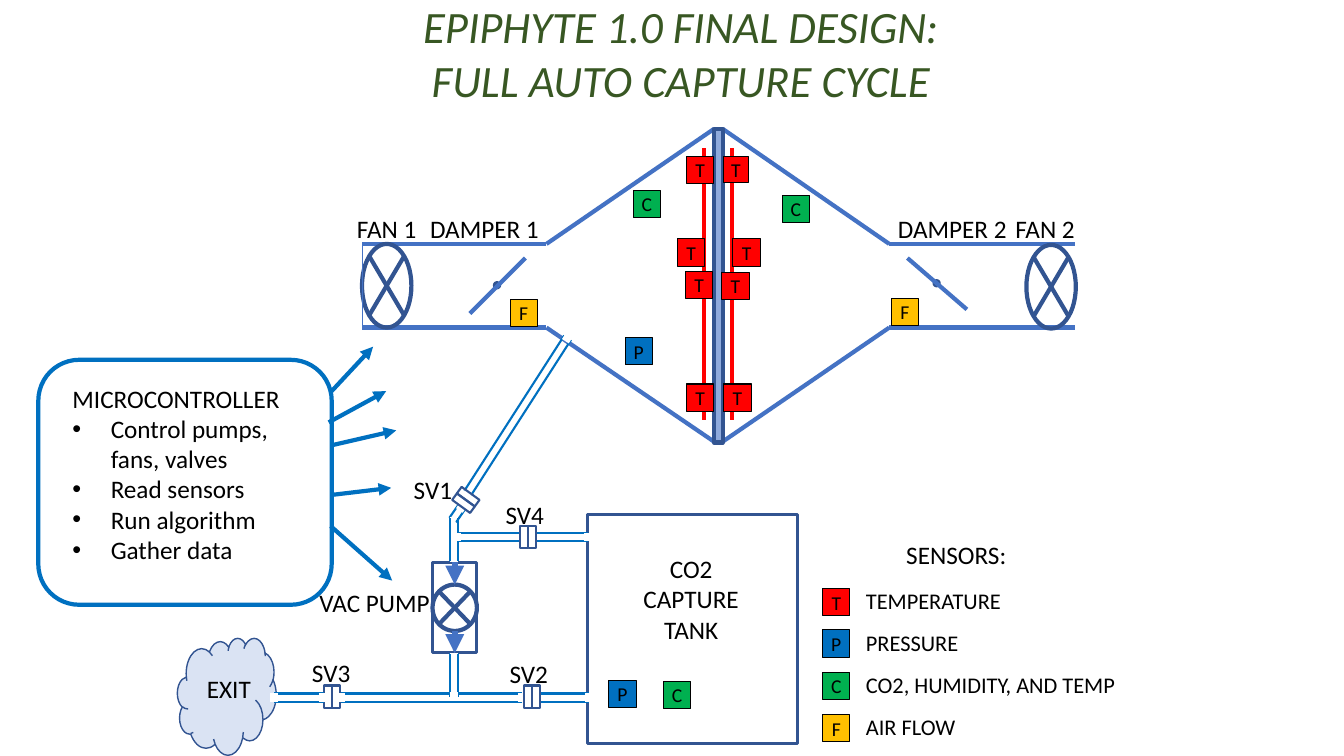
import math
from dataclasses import dataclass
from itertools import pairwise

import pptx
import pptx.dml.color
import pptx.enum.shapes
import pptx.enum.text
import pptx.oxml
import pptx.oxml.ns
import pptx.util

EMU_PER_PX = 9144
SHAPES = pptx.enum.shapes.MSO_SHAPE
ALIGN = pptx.enum.text.PP_ALIGN


@dataclass(frozen=True)
class Theme:
    font: str = "Calibri"
    title_size: int = 32
    body_size: int = 18
    legend_size: int = 16
    badge_size: int = 14
    title: str = "385723"
    black: str = "000000"
    white: str = "FFFFFF"
    wall: str = "4472C4"
    outline: str = "325491"
    pipe: str = "0070C0"
    filter: str = "8FAADC"
    cloud: str = "DAE3F3"
    heater: str = "FF0000"


THEME = Theme()
SENSOR_FILLS = {"T": "FF0000", "P": "0070C0", "C": "00B050", "F": "FFC000"}


@dataclass(frozen=True)
class Line:
    x1: float
    y1: float
    x2: float
    y2: float
    color: str = THEME.wall
    width: float = 3
    arrow: bool = False


@dataclass(frozen=True)
class Box:
    kind: int
    left: float
    top: float
    width: int
    height: int
    fill: str | None = None
    line: str = THEME.outline
    weight: float = 3
    rotation: int = 0


@dataclass(frozen=True)
class Label:
    text: str
    left: int
    top: int
    width: int
    height: int = 36
    size: int = THEME.body_size
    align: int = ALIGN.CENTER
    color: str = THEME.black
    italic: bool = False
    wrap: bool = True


@dataclass(frozen=True)
class Pipe:
    x1: int
    y1: int
    x2: int
    y2: int
    start_cap: float = 6
    end_cap: float = 6


@dataclass(frozen=True)
class Valve:
    x: int
    y: int
    rotation: int = 180
    fill: str | None = THEME.white


@dataclass(frozen=True)
class Sensor:
    letter: str
    left: int
    top: int
    width: int = 27
    height: int = 27


def px(value: float) -> int:
    return round(value * EMU_PER_PX)


def rgb(color: str) -> pptx.dml.color.RGBColor:
    return pptx.dml.color.RGBColor.from_string(color)


def add_element(parent, tag: str, **attributes: str) -> None:
    element = pptx.oxml.parse_xml(f"<{tag} {pptx.oxml.ns.nsdecls('a')}/>")
    for name, value in attributes.items():
        element.set(name, value)
    parent.append(element)


def draw_line(slide, line: Line) -> None:
    connector = slide.shapes.add_connector(
        pptx.enum.shapes.MSO_CONNECTOR.STRAIGHT, px(line.x1), px(line.y1), px(line.x2), px(line.y2))
    connector.line.color.rgb = rgb(line.color)
    connector.line.width = pptx.util.Pt(line.width)
    if line.arrow:
        add_element(connector.line._get_or_add_ln(), "a:tailEnd", type="triangle")
    add_element(connector._element.spPr, "a:effectLst")


def draw_box(slide, box: Box):
    shape = slide.shapes.add_shape(box.kind, px(box.left), px(box.top), px(box.width), px(box.height))
    shape.shadow.inherit = False
    shape.rotation = box.rotation
    if box.fill:
        shape.fill.solid()
        shape.fill.fore_color.rgb = rgb(box.fill)
    else:
        shape.fill.background()
    shape.line.color.rgb = rgb(box.line)
    shape.line.width = pptx.util.Pt(box.weight)
    return shape


def style_paragraph(paragraph, size: int, color: str, align: int, italic: bool = False) -> None:
    paragraph.alignment = align
    paragraph.font.name = THEME.font
    paragraph.font.size = pptx.util.Pt(size)
    paragraph.font.italic = italic
    paragraph.font.color.rgb = rgb(color)


def draw_label(slide, label: Label, bulleted: bool = False) -> None:
    text_box = slide.shapes.add_textbox(px(label.left), px(label.top), px(label.width), px(label.height))
    text_frame = text_box.text_frame
    text_frame.word_wrap = label.wrap
    text_frame.text = label.text
    for index, paragraph in enumerate(text_frame.paragraphs):
        if bulleted and index:
            properties = paragraph._p.get_or_add_pPr()
            properties.set("marL", str(px(38)))
            properties.set("indent", str(px(-38)))
            add_element(properties, "a:buFont", typeface="Arial")
            add_element(properties, "a:buChar", char="•")
        style_paragraph(paragraph, label.size, label.color, label.align, label.italic)


def draw_pipe(slide, pipe: Pipe) -> None:
    length = math.hypot(pipe.x2 - pipe.x1, pipe.y2 - pipe.y1)
    dx = 4 * (pipe.y2 - pipe.y1) / length
    dy = 4 * (pipe.x1 - pipe.x2) / length
    for side in (-1, 1):
        draw_line(slide, Line(pipe.x1 + side * dx, pipe.y1 + side * dy,
                              pipe.x2 + side * dx, pipe.y2 + side * dy, THEME.pipe, 1.5))
    for x, y, cap in ((pipe.x1, pipe.y1, pipe.start_cap), (pipe.x2, pipe.y2, pipe.end_cap)):
        if cap:
            draw_line(slide, Line(x - dx, y - dy, x + dx, y + dy, THEME.white, cap))


def draw_valve(slide, valve: Valve) -> None:
    angle = math.radians(valve.rotation)
    for side in (-4, 4):
        x, y = valve.x + side * math.cos(angle), valve.y + side * math.sin(angle)
        draw_box(slide, Box(SHAPES.RECTANGLE, x - 4, y - 11, 8, 22, valve.fill,
                            weight=1.5, rotation=valve.rotation))


def draw_sensor(slide, sensor: Sensor) -> None:
    shape = draw_box(slide, Box(SHAPES.RECTANGLE, sensor.left, sensor.top, sensor.width, sensor.height,
                                SENSOR_FILLS[sensor.letter], THEME.black, 0.75))
    text_frame = shape.text_frame
    text_frame.margin_left = text_frame.margin_right = 0
    text_frame.margin_top = text_frame.margin_bottom = 0
    text_frame.vertical_anchor = pptx.enum.text.MSO_ANCHOR.MIDDLE
    text_frame.text = sensor.letter
    style_paragraph(text_frame.paragraphs[0], THEME.badge_size, THEME.black, ALIGN.CENTER)


CHAMBER_WALLS = [[(708, 128), (542, 242), (359, 242)], [(708, 438), (542, 325), (359, 325)],
                 [(717, 128), (882, 242), (1066, 242)], [(717, 438), (882, 325), (1066, 325)]]
EQUIPMENT = [
    Box(SHAPES.RECTANGLE, 708, 128, 9, 311, THEME.filter),
    Box(SHAPES.FLOWCHART_SUMMING_JUNCTION, 359, 242, 49, 83),
    Box(SHAPES.FLOWCHART_SUMMING_JUNCTION, 1018, 243, 49, 83),
    Box(SHAPES.OVAL, 491, 281, 4, 4, THEME.wall),
    Box(SHAPES.OVAL, 927, 279, 4, 4, THEME.wall),
    Box(SHAPES.FLOWCHART_SUMMING_JUNCTION, 429, 580, 44, 46),
    Box(SHAPES.RECTANGLE, 429, 558, 44, 89, weight=2.25),
    Box(SHAPES.RECTANGLE, 583, 510, 208, 228, weight=2.25),
    Box(SHAPES.CLOUD, 176, 633, 98, 116, THEME.cloud, weight=1),
]
LINES = [Line(521, 256, 466, 311), Line(900, 256, 959, 307), Line(359, 242, 359, 326, width=0.5),
         Line(451, 558, 451, 580, width=4.5, arrow=True), Line(451, 626, 451, 648, width=4.5, arrow=True),
         Line(698, 147, 698, 417, THEME.heater), Line(726, 147, 726, 417, THEME.heater)]
PIPES = [Pipe(458, 503, 449, 516, 6, 0.5), Pipe(563, 335, 464, 489, 6, 0.5),
         Pipe(450, 513, 450, 557, 0.5, 0.5), Pipe(583, 533, 453, 533), Pipe(518, 692, 338, 692),
         Pipe(450, 648, 450, 691, 0.5, 6), Pipe(584, 692, 534, 692, 6, 0), Pipe(321, 692, 272, 692)]
LABELS = [
    Label("EPIPHYTE 1.0 FINAL DESIGN:\nFULL AUTO CAPTURE CYCLE", 407, -6, 537, 118,
          THEME.title_size, color=THEME.title, italic=True, wrap=False),
    Label("FAN 1", 342, 207, 83), Label("DAMPER 1", 416, 207, 129),
    Label("DAMPER 2", 880, 207, 129), Label("FAN 2", 995, 207, 83),
    Label("SV1", 388, 466, 83), Label("SV2", 483, 648, 83),
    Label("SV3", 287, 647, 83), Label("SV4", 479, 490, 83),
    Label("CO2 CAPTURE TANK", 612, 544, 147, 101), Label("VAC PUMP", 298, 578, 147),
    Label("EXIT", 158, 663, 138, 40), Label("SENSORS:", 875, 530, 147, 40),
]
SENSORS = [
    Sensor("T", 716, 270), Sensor("T", 680, 269), Sensor("T", 681, 381), Sensor("T", 681, 155),
    Sensor("T", 718, 381), Sensor("T", 718, 155, 24, 26), Sensor("T", 727, 237), Sensor("T", 672, 237),
    Sensor("C", 628, 189), Sensor("C", 776, 194), Sensor("F", 884, 296), Sensor("F", 506, 297),
    Sensor("P", 620, 335), Sensor("P", 604, 675), Sensor("C", 658, 676),
]
LEGEND = {"T": "TEMPERATURE", "P": "PRESSURE", "C": "CO2, HUMIDITY, AND TEMP", "F": "AIR FLOW"}
CONTROL_ARROWS = [(329, 388, 370, 344), (326, 419, 383, 388), (328, 442, 393, 427),
                  (329, 491, 388, 484), (328, 522, 389, 576)]
CONTROLLER_TEXT = "MICROCONTROLLER\nControl pumps, fans, valves\nRead sensors\nRun algorithm\nGather data"


def main() -> None:
    presentation = pptx.Presentation()
    presentation.slide_width, presentation.slide_height = px(1333), px(750)
    slide = presentation.slides.add_slide(presentation.slide_layouts[6])
    for wall in CHAMBER_WALLS:
        for start, end in pairwise(wall):
            draw_line(slide, Line(*start, *end))
    for box in EQUIPMENT:
        draw_box(slide, box)
    for line in LINES:
        draw_line(slide, line)
    draw_valve(slide, Valve(329, 691, fill=None))
    for pipe in PIPES:
        draw_pipe(slide, pipe)
    for valve in (Valve(462, 496, 126, None), Valve(528, 691), Valve(524, 533)):
        draw_valve(slide, valve)
    for label in LABELS:
        draw_label(slide, label)
    for sensor in SENSORS:
        draw_sensor(slide, sensor)
    for row, (letter, meaning) in enumerate(LEGEND.items()):
        top = 584 + 125 * row // 3
        draw_sensor(slide, Sensor(letter, 816, top))
        draw_label(slide, Label(meaning, 849, top - 6, 292, 37, THEME.legend_size, ALIGN.LEFT))
    draw_box(slide, Box(SHAPES.ROUNDED_RECTANGLE, 38, 357, 291, 243, THEME.white, THEME.pipe))
    draw_label(slide, Label(CONTROLLER_TEXT, 62, 375, 248, 192, align=ALIGN.LEFT), bulleted=True)
    for arrow in CONTROL_ARROWS:
        draw_line(slide, Line(*arrow, THEME.pipe, arrow=True))
    presentation.save("out.pptx")


if __name__ == "__main__":
    main()
